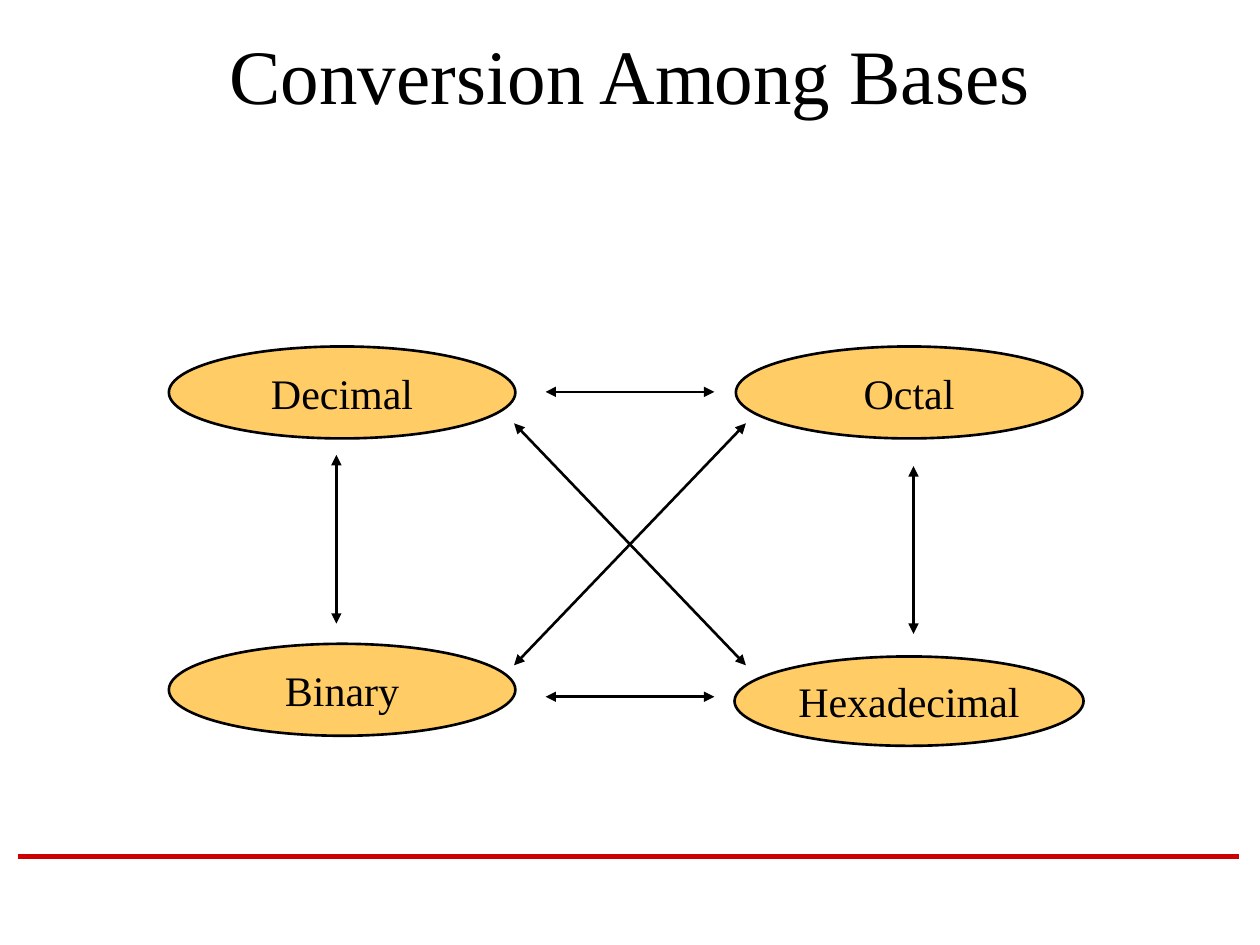
from lxml import etree
from pptx import Presentation
from pptx.dml.color import RGBColor
from pptx.enum import shapes, text
from pptx.oxml.ns import qn
from pptx.util import Inches, Pt

# Content
TITLE = "Conversion Among Bases"
BASES = [  # label, left, top, width, height
    ("Hexadecimal", 5.83, 5.21, 2.77, 0.71),
    ("Decimal", 1.34, 2.75, 2.75, 0.73),
    ("Octal", 5.84, 2.75, 2.75, 0.73),
    ("Binary", 1.34, 5.11, 2.75, 0.73),
]
CONVERSIONS = [  # x1, y1, x2, y2
    (4.08, 5.28, 5.92, 3.36),  # binary - octal
    (5.92, 5.28, 4.08, 3.36),  # hexadecimal - decimal
    (7.25, 5.03, 7.25, 3.70),  # hexadecimal - octal
    (2.67, 4.95, 2.67, 3.61),  # binary - decimal
    (4.33, 3.11, 5.67, 3.11),  # decimal - octal
    (4.33, 5.53, 5.67, 5.53),  # binary - hexadecimal
]
FOOTER_RULE = (0.14, 6.8, 9.83, 6.8)

THEME = {
    "font": "Times New Roman", "title": 44, "label": 24,
    "ink": "000000", "fill": "FFCC66", "rule": "CC0000",
    "outline": 1.5, "rule_width": 3,
}


def rgb(name):
    return RGBColor.from_string(THEME[name])


def write(sp, words, size, wrap=True):
    tf = sp.text_frame
    tf.word_wrap = wrap
    tf.auto_size = text.MSO_AUTO_SIZE.NONE
    tf.vertical_anchor = text.MSO_ANCHOR.MIDDLE
    p = tf.paragraphs[0]
    p.alignment = text.PP_ALIGN.CENTER
    r = p.add_run()
    r.text = words
    r.font.name = THEME["font"]
    r.font.size = Pt(THEME[size])
    r.font.color.rgb = rgb("ink")


def add_line(slide, ends, color="ink", width="outline", arrows=True):
    line = slide.shapes.add_connector(
        shapes.MSO_CONNECTOR.STRAIGHT, *map(Inches, ends))
    line.line.color.rgb = rgb(color)
    line.line.width = Pt(THEME[width])
    etree.SubElement(line._element.spPr, qn("a:effectLst"))
    if arrows:
        ln = line.line._get_or_add_ln()
        for end in ("a:headEnd", "a:tailEnd"):
            etree.SubElement(ln, qn(end), type="triangle")


def add_base(slide, label, *box):
    sp = slide.shapes.add_shape(
        shapes.MSO_SHAPE.OVAL, *map(Inches, box))
    sp.shadow.inherit = False
    sp.fill.solid()
    sp.fill.fore_color.rgb = rgb("fill")
    sp.line.color.rgb = rgb("ink")
    sp.line.width = Pt(THEME["outline"])
    write(sp, label, "label", wrap=False)


def main():
    prs = Presentation()
    prs.slide_width, prs.slide_height = Inches(10), Inches(7.5)
    slide = prs.slides.add_slide(prs.slide_layouts[5])

    # Footer rule
    add_line(slide, FOOTER_RULE, "rule", "rule_width", arrows=False)

    # Title
    title = slide.shapes.title
    title.left, title.top = Inches(0.75), Inches(0.17)
    title.width, title.height = Inches(8.5), Inches(0.83)
    write(title, TITLE, "title")

    # Bases and the conversions between them
    for base in BASES:
        add_base(slide, *base)
    for ends in CONVERSIONS:
        add_line(slide, ends)

    prs.save("out.pptx")


if __name__ == "__main__":
    main()
